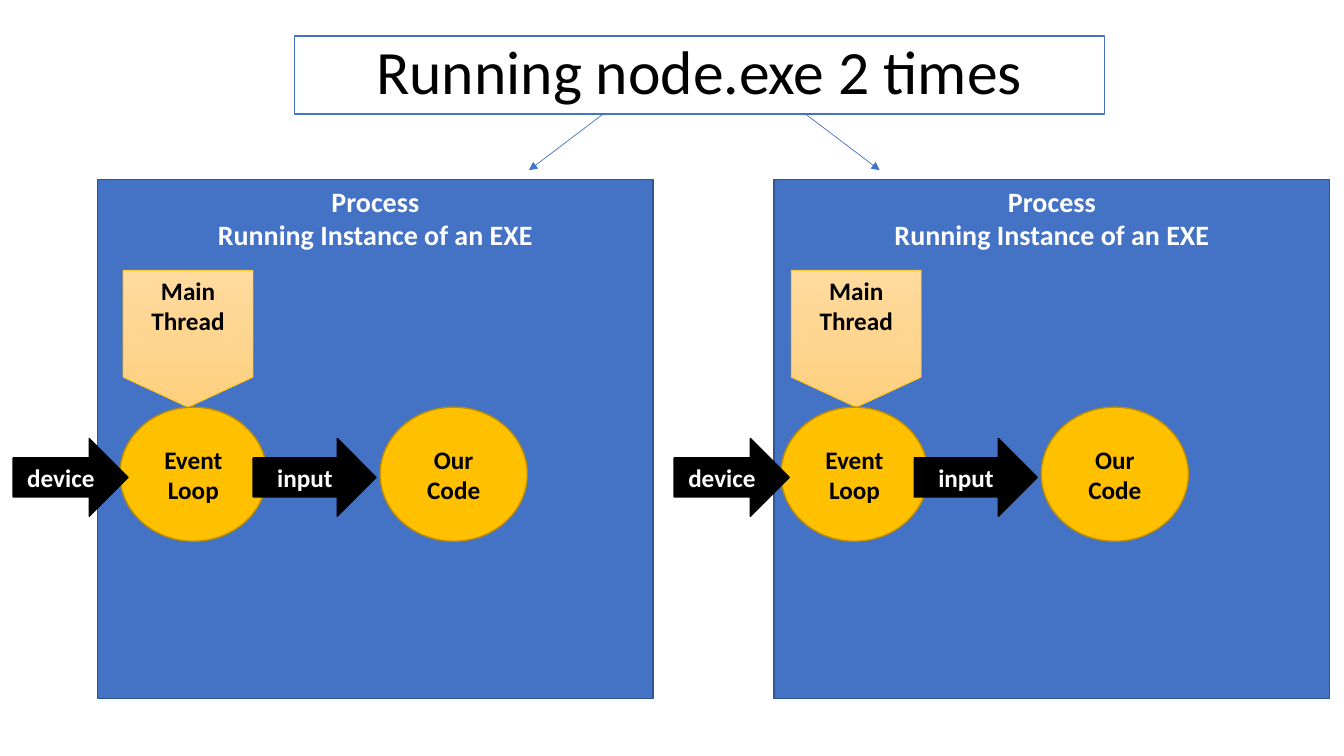
from copy import deepcopy

from pptx import Presentation
from pptx.dml.color import RGBColor
from pptx.enum.shapes import MSO_CONNECTOR, MSO_SHAPE
from pptx.enum.text import MSO_ANCHOR, PP_ALIGN
from pptx.oxml.ns import qn
from pptx.util import Cm, Pt
from lxml.etree import SubElement

BLUE = RGBColor(0x44, 0x72, 0xC4)
DARK_BLUE = RGBColor(0x32, 0x54, 0x91)
GOLD = RGBColor(0xFF, 0xC0, 0x00)
DARK_GOLD = RGBColor(0xBD, 0x8E, 0x00)
BLACK = RGBColor(0x00, 0x00, 0x00)
WHITE = RGBColor(0xFF, 0xFF, 0xFF)
THREAD_GRADIENT = [
    (0, RGBColor(0xFF, 0xDB, 0x9E)),
    (0.5, RGBColor(0xFF, 0xD5, 0x90)),
    (1, RGBColor(0xFF, 0xD0, 0x7C)),
]


def write(shape, text, size=18, color=BLACK, bold=True, anchor=MSO_ANCHOR.MIDDLE, spacing=None):
    """Fill a shape with centred text, one paragraph per line."""
    frame = shape.text_frame
    frame.word_wrap = True
    frame.vertical_anchor = anchor
    frame.text = text
    for paragraph in frame.paragraphs:
        paragraph.alignment = PP_ALIGN.CENTER
        paragraph.line_spacing = spacing
        paragraph.font.name = "Calibri"
        paragraph.font.size = Pt(size)
        paragraph.font.bold = bold
        paragraph.font.color.rgb = color


def add_block(slide, preset, box, text, fill, line, line_width=1, **text_format):
    """Add a filled, outlined shape with text in a box given in centimetres."""
    block = slide.shapes.add_shape(preset, *map(Cm, box))
    block.shadow.inherit = False
    block.fill.solid()
    block.fill.fore_color.rgb = fill
    block.line.color.rgb = line
    block.line.width = Pt(line_width)
    write(block, text, **text_format)
    return block


def add_main_thread(slide, left, top):
    """Add the gradient pentagon that points down at the event loop."""
    thread = add_block(slide, MSO_SHAPE.DOWN_ARROW, (left, top, 3.28, 3.45), "Main\nThread",
                       GOLD, GOLD, 0.5, anchor=MSO_ANCHOR.TOP)
    thread.adjustments[0] = 1
    thread.adjustments[1] = 0.231
    thread.fill.gradient()
    thread.fill.gradient_angle = 270
    stop_list = thread._element.spPr.find(qn("a:gradFill")).find(qn("a:gsLst"))
    stop_list.append(deepcopy(stop_list[0]))
    for stop, (position, color) in zip(thread.fill.gradient_stops, THREAD_GRADIENT):
        stop.position = position
        stop.color.rgb = color


def add_process(slide, box, flow_left, thread_left):
    """Add a process box with its thread and the flow from device to code."""
    left, top, width, height = box
    add_block(slide, MSO_SHAPE.RECTANGLE, box, "Process\nRunning Instance of an EXE",
              BLUE, DARK_BLUE, size=20, color=WHITE, anchor=MSO_ANCHOR.TOP)
    add_main_thread(slide, left + thread_left, top + 2.29)

    circle, arrow = MSO_SHAPE.OVAL, MSO_SHAPE.RIGHT_ARROW
    circle_size, circle_top = (3.71, 3.38), top + 5.74
    arrow_top, arrow_height = top + 6.53, 1.96
    flow = left + flow_left
    add_block(slide, circle, (flow + 2.69, circle_top, *circle_size), "Event\nLoop", GOLD, DARK_GOLD)
    add_block(slide, circle, (flow + 9.25, circle_top, *circle_size), "Our\nCode", GOLD, DARK_GOLD)
    for label, offset, length in (("input", 6.05, 3.1), ("device", 0, 2.9)):
        add_block(slide, arrow, (flow + offset, arrow_top, length, arrow_height), label,
                  BLACK, BLACK, color=WHITE)


def add_launch_arrow(slide, start, end):
    """Add a thin arrow from the title to a process."""
    launch = slide.shapes.add_connector(MSO_CONNECTOR.STRAIGHT, *map(Cm, start + end))
    launch.line.color.rgb = BLUE
    launch.line.width = Pt(0.5)
    SubElement(launch.line._get_or_add_ln(), qn("a:tailEnd"), type="triangle")
    SubElement(launch._element.spPr, qn("a:effectLst"))


def add_heading(slide, box):
    """Add the title box and the two arrows that leave it."""
    left, top, width, height = box
    middle, bottom = left + width / 2 + 0.12, top + height
    for side in (-1, 1):
        add_launch_arrow(slide, (middle + side * 2.44, bottom - 0.08),
                         (middle + side * 4.42, bottom + 1.42))
    add_block(slide, MSO_SHAPE.RECTANGLE, box, "Running node.exe 2 times", WHITE, BLUE,
              size=44, bold=False, spacing=0.9)


def main():
    """Build the slide and save it."""
    presentation = Presentation()
    presentation.slide_width = Cm(33.87)
    presentation.slide_height = Cm(19.05)
    slide = presentation.slides.add_slide(presentation.slide_layouts[6])
    add_process(slide, (2.46, 4.52, 14, 13.08), flow_left=-2.13, thread_left=0.64)
    add_process(slide, (19.51, 4.52, 14, 13.08), flow_left=-2.52, thread_left=0.43)
    add_heading(slide, (7.42, 0.91, 20.42, 1.96))
    presentation.save("out.pptx")


if __name__ == "__main__":
    main()
